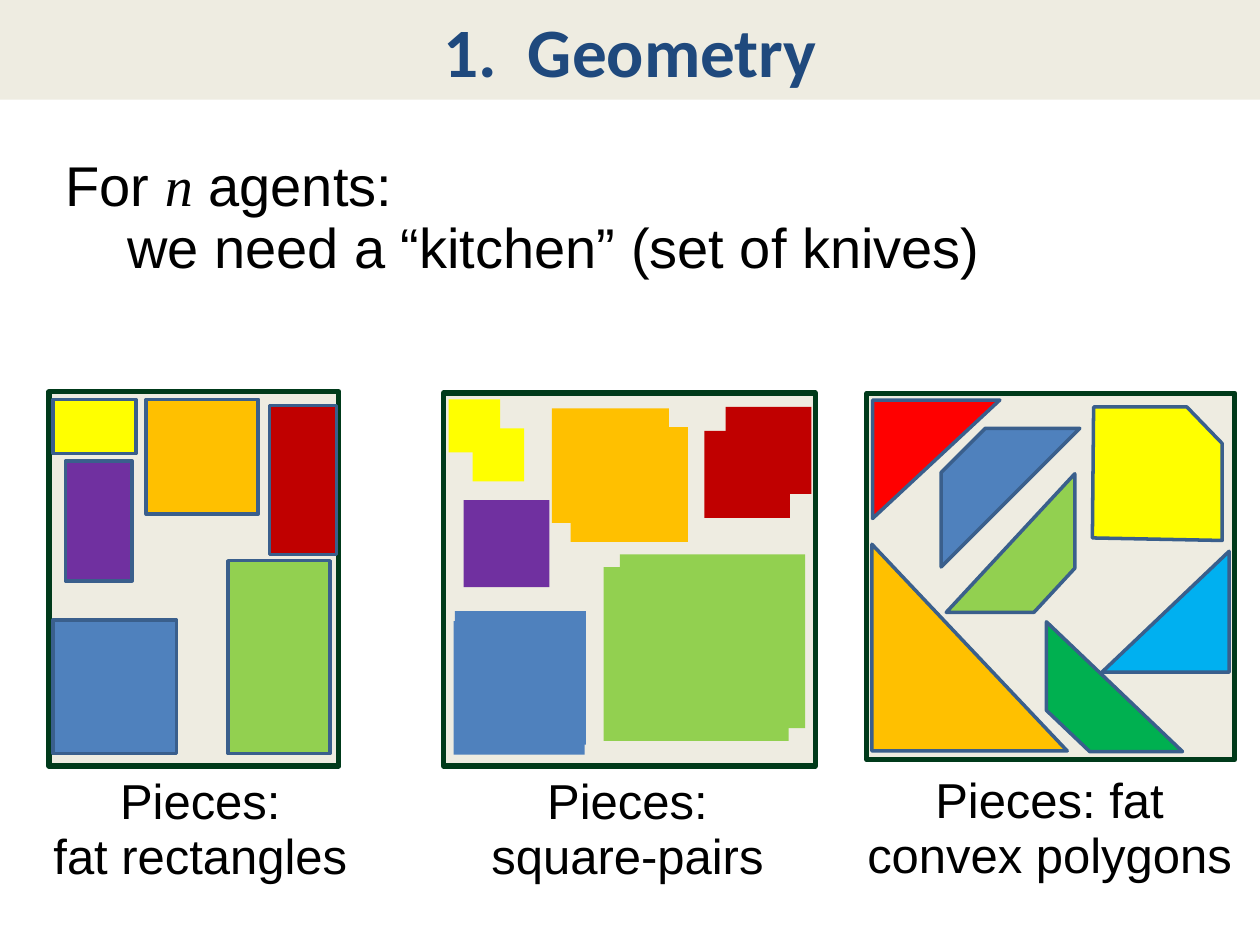
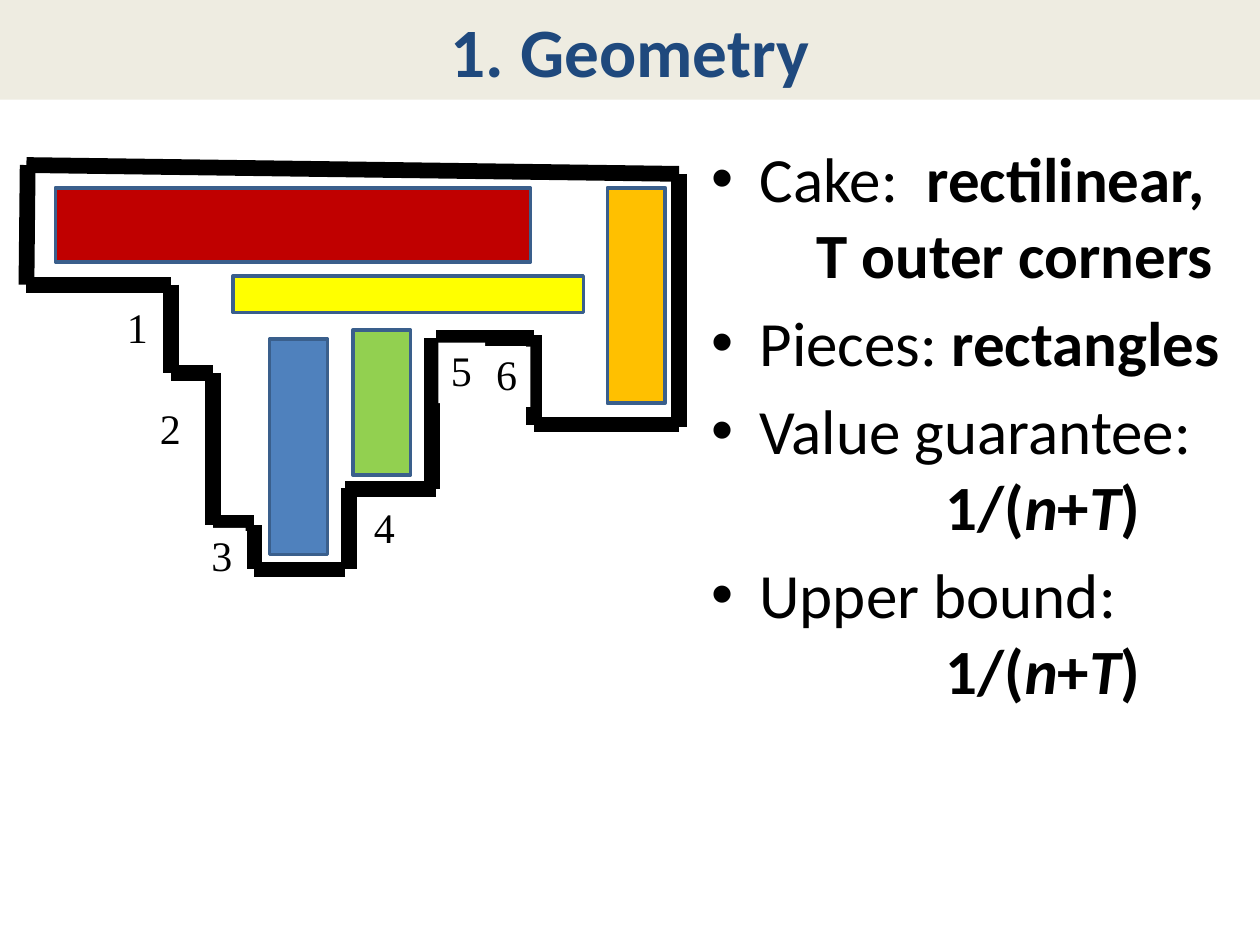
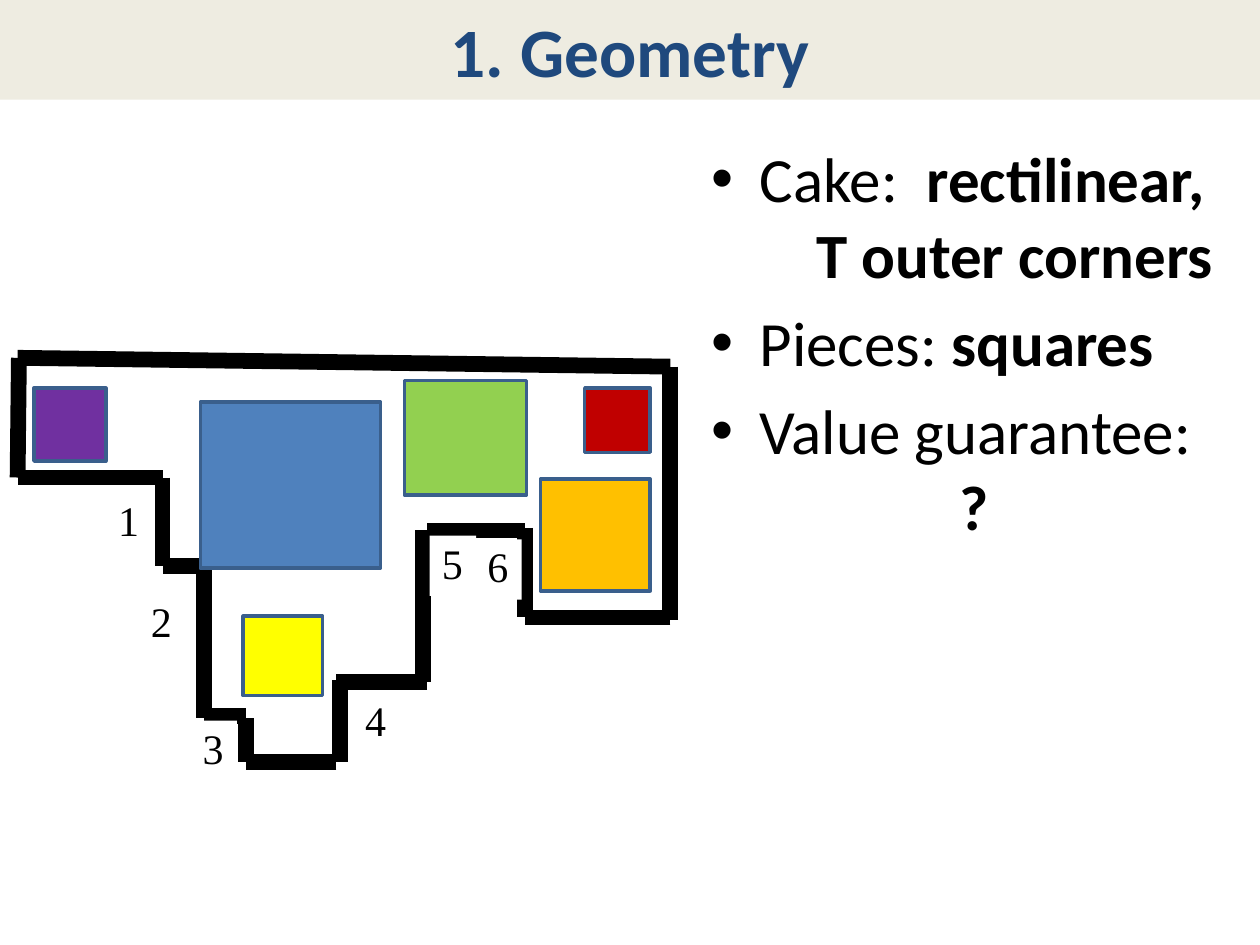
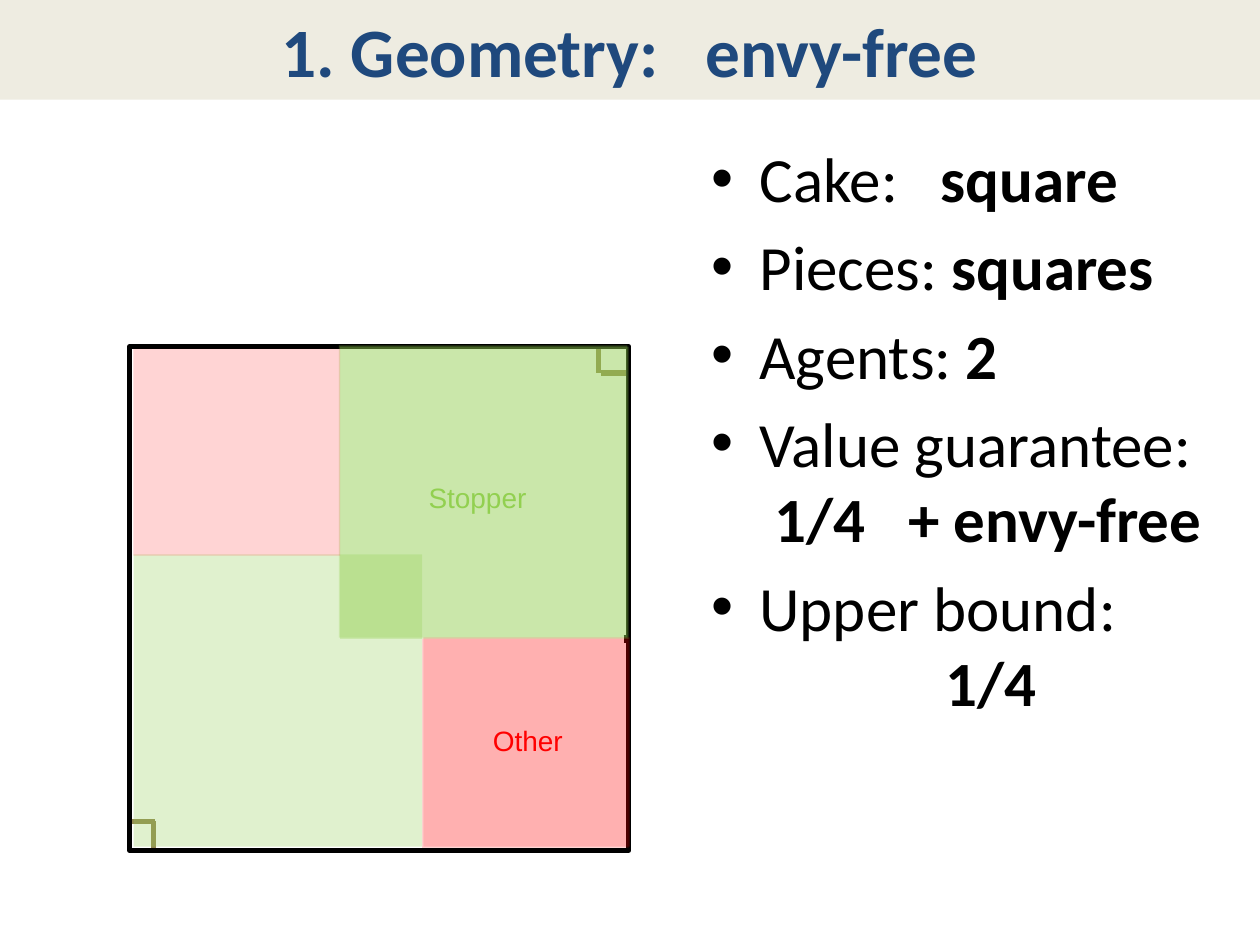
from lxml.etree import SubElement
from pptx import Presentation
from pptx.dml.color import RGBColor
from pptx.enum.shapes import MSO_CONNECTOR, MSO_SHAPE as Preset
from pptx.enum.text import MSO_ANCHOR as Anchor, MSO_AUTO_SIZE as AutoSize, PP_ALIGN as Align
from pptx.oxml.ns import qn
from pptx.util import Inches, Pt

# Colours
BLACK = RGBColor(0x00, 0x00, 0x00)
WHITE = RGBColor(0xFF, 0xFF, 0xFF)
CREAM = RGBColor(0xEE, 0xEC, 0xE1)
NAVY = RGBColor(0x1F, 0x49, 0x7D)
OUTLINE = RGBColor(0x3A, 0x5F, 0x8C)
FRAME = RGBColor(0x00, 0x3A, 0x1A)
OLIVE = RGBColor(0x94, 0x8A, 0x54)
YELLOW = RGBColor(0xFF, 0xFF, 0x00)
LIME = RGBColor(0x92, 0xD0, 0x50)
BLUE = RGBColor(0x4F, 0x81, 0xBD)
CRIMSON = RGBColor(0xC0, 0x00, 0x00)
ORANGE = RGBColor(0xFF, 0xC0, 0x00)
PURPLE = RGBColor(0x70, 0x30, 0xA0)
RED = RGBColor(0xFF, 0x00, 0x00)
GREEN = RGBColor(0x00, 0xB0, 0x50)
SKY = RGBColor(0x00, 0xB0, 0xF0)

# Fonts
HEADING = "Calibri"
SANS = "Arial"
SERIF = "Times New Roman"

# Rectilinear cake: walls as (x1, y1, x2, y2), corner numbers as (x, y)
CAKE_WALLS = [
    (0.22, 1.31, 0.21, 2.26), (2.74, 4.52, 2.02, 4.52), (1.36, 2.26, 1.36, 2.96),
    (1.36, 2.26, 0.21, 2.26), (1.69, 2.96, 1.36, 2.96), (1.69, 2.96, 1.69, 4.17),
    (2.02, 4.15, 1.69, 4.15), (2.02, 4.17, 2.02, 4.52), (3.46, 3.88, 2.74, 3.88),
    (2.77, 3.87, 2.77, 4.52), (5.39, 1.38, 5.39, 3.39), (5.39, 3.37, 4.24, 3.37),
    (3.43, 2.68, 3.43, 3.88), (4.24, 2.68, 3.46, 2.68), (4.24, 2.66, 4.24, 3.37),
    (0.21, 1.31, 5.39, 1.38),
]
CAKE_CORNERS = [(0.91, 2.38), (1.17, 3.18), (1.58, 4.19), (2.87, 3.97), (3.48, 2.72), (3.84, 2.75)]


def write(para, text, font=SANS, size=28, color=BLACK, bold=False, italic=False):
    span = para.add_run()
    span.text = text
    span.font.name = font
    span.font.size = Pt(size)
    span.font.color.rgb = color
    span.font.bold = bold
    span.font.italic = italic


class Slides:
    """Holds the deck, its style and the current page."""

    def __init__(self):
        self.deck = Presentation()
        self.deck.slide_width = Inches(10)
        self.deck.slide_height = Inches(7.5)
        self.page = None

    def new_page(self, title):
        self.page = self.deck.slides.add_slide(self.deck.slide_layouts[5])
        band = self.page.shapes.title
        band.left, band.top, band.width, band.height = map(Inches, (0, 0, 10, 0.79))
        band.fill.solid()
        band.fill.fore_color.rgb = CREAM
        frame = band.text_frame
        frame.vertical_anchor = Anchor.MIDDLE
        frame.auto_size = AutoSize.NONE
        frame.paragraphs[0].alignment = Align.CENTER
        write(frame.paragraphs[0], title, font=HEADING, size=39.6, color=NAVY, bold=True)

    def paint(self, shape, fill=None, line=OUTLINE, weight=2, alpha=None):
        shape.shadow.inherit = False
        if fill is None:
            shape.fill.background()
        else:
            shape.fill.solid()
            shape.fill.fore_color.rgb = fill
            if alpha:
                color = shape.fill._xPr.find(qn("a:solidFill"))[0]
                SubElement(color, qn("a:alpha"), val=str(alpha * 1000))
        if line is None:
            shape.line.fill.background()
        else:
            shape.line.color.rgb = line
            shape.line.width = Pt(weight)

    def shape(self, place, fill=None, preset=Preset.RECTANGLE, turn=0, adjust=None, **style):
        shape = self.page.shapes.add_shape(preset, *map(Inches, place))
        shape.rotation = turn
        if adjust is not None:
            shape.adjustments[0] = adjust
        self.paint(shape, fill, **style)

    def polygon(self, points, fill):
        corners = [(Inches(x), Inches(y)) for x, y in points]
        builder = self.page.shapes.build_freeform(*corners[0], scale=1.0)
        builder.add_line_segments(corners[1:], close=True)
        self.paint(builder.convert_to_shape(), fill)

    def line(self, ends, color=BLACK, weight=9):
        line = self.page.shapes.add_connector(MSO_CONNECTOR.STRAIGHT, *map(Inches, ends))
        line.line.color.rgb = color
        line.line.width = Pt(weight)
        SubElement(line._element.spPr, qn("a:effectLst"))

    def text(self, place, lines, align=Align.CENTER, wrap=True, fill=None, **style):
        """Each line is one text, or a list of (text, format) spans."""
        box = self.page.shapes.add_textbox(*map(Inches, place))
        if fill is not None:
            box.fill.solid()
            box.fill.fore_color.rgb = fill
        frame = box.text_frame
        frame.word_wrap = wrap
        frame.auto_size = AutoSize.SHAPE_TO_FIT_TEXT
        for index, line in enumerate(lines):
            para = frame.add_paragraph() if index else frame.paragraphs[0]
            para.alignment = align
            para.line_spacing = 0.93
            spans = [(line, {})] if isinstance(line, str) else line
            for text, extra in spans:
                write(para, text, **{**style, **extra})
        return frame

    def bullets(self, rows, height=4.69):
        """Each row is (indent, spans); no indent makes it a bullet. Marks: b bold, i italic."""
        box = self.page.shapes.add_textbox(*map(Inches, (5.55, 1.06, 4.26, height)))
        frame = box.text_frame
        frame.word_wrap = True
        for index, (indent, spans) in enumerate(rows):
            para = frame.add_paragraph() if index else frame.paragraphs[0]
            props = para._p.get_or_add_pPr()
            if indent is None:
                para.space_before = Pt(7.2)
                props.set("marL", str(Inches(0.38)))
                props.set("indent", str(-Inches(0.38)))
                SubElement(props, qn("a:buFont"), typeface=SANS)
                SubElement(props, qn("a:buChar"), char="•")
            else:
                para.space_before = Pt(0)
                props.set("marL", str(Inches(indent)))
            for text, marks in spans:
                write(para, text, font=HEADING, size=36, bold="b" in marks, italic="i" in marks)

    def cake(self, dx=0.0, dy=0.0):
        for x1, y1, x2, y2 in CAKE_WALLS:
            self.line((x1 + dx, y1 + dy, x2 + dx, y2 + dy))
        for number, (x, y) in enumerate(CAKE_CORNERS, 1):
            self.text((x + dx, y + dy, 0.37, 0.48), [str(number)], align=Align.LEFT,
                      wrap=False, fill=WHITE, font=SERIF, size=24)

    def pieces(self, items, **style):
        for fill, *place in items:
            self.shape(place, fill, **style)


def point(label, value=""):
    return None, [(label, ""), (value, "b")] if value else [(label, "")]


def kitchen_page(slides):
    slides.new_page("1.  Geometry")
    slides.text((0.42, 1.19, 7.52, 1.1),
                [[("For ", {}), ("n", {"font": SERIF, "italic": True}), (" agents:", {})],
                 "we need a “kitchen” (set of knives)"],
                align=Align.LEFT, wrap=False, size=32
                ).paragraphs[1]._p.get_or_add_pPr().set("marL", str(Inches(0.49)))

    # Square pairs
    slides.shape((3.52, 3.12, 2.95, 2.96), CREAM, line=FRAME, weight=3)
    slides.pieces([
        (YELLOW, 3.56, 3.17, 0.41, 0.42), (YELLOW, 3.75, 3.4, 0.41, 0.42),
        (LIME, 4.92, 4.4, 1.47, 1.38), (LIME, 4.79, 4.5, 1.47, 1.38),
        (BLUE, 3.61, 4.85, 1.04, 1.06), (BLUE, 3.6, 4.93, 1.04, 1.06),
        (CRIMSON, 5.76, 3.23, 0.68, 0.69), (CRIMSON, 5.59, 3.42, 0.68, 0.69),
        (ORANGE, 4.53, 3.39, 0.93, 0.91), (ORANGE, 4.38, 3.24, 0.93, 0.91),
        (PURPLE, 3.68, 3.97, 0.68, 0.69),
    ], line=None)
    slides.text((3.43, 6.11, 3.1, 0.98), ["Pieces:", "square-pairs"])

    # Fat rectangles
    slides.shape((0.39, 3.11, 2.3, 2.97), CREAM, line=FRAME, weight=3)
    slides.pieces([
        (YELLOW, 0.42, 3.17, 0.66, 0.43), (LIME, 1.81, 4.45, 0.81, 1.53),
        (BLUE, 0.42, 4.92, 0.98, 1.06), (CRIMSON, 2.14, 3.22, 0.53, 1.18),
        (ORANGE, 1.16, 3.17, 0.89, 0.91), (PURPLE, 0.52, 3.66, 0.53, 0.95),
    ])
    slides.text((0.04, 6.11, 3.1, 0.98), ["Pieces:", "fat rectangles"])

    # Fat convex polygons
    slides.shape((6.88, 3.12, 2.92, 2.91), CREAM, line=FRAME, weight=3)
    for fill, turn, *place in [(RED, 90, 6.96, 3.14, 0.94, 1.01),
                               (ORANGE, 0, 6.92, 4.32, 1.55, 1.64),
                               (SKY, 270, 8.77, 4.35, 0.96, 1.01)]:
        slides.shape(place, fill, Preset.RIGHT_TRIANGLE, turn)
    for fill, turn, *place in [(BLUE, 0, 7.47, 3.4, 1.1, 1.1),
                               (LIME, 180, 7.51, 3.76, 1.02, 1.1),
                               (GREEN, 270, 8.33, 4.91, 1.03, 1.08)]:
        slides.shape(place, fill, Preset.DIAGONAL_STRIPE, turn, adjust=0.318)
    slides.polygon([(9.42, 3.23), (9.7, 3.52), (9.7, 4.29), (8.67, 4.27), (8.68, 3.23)], YELLOW)
    slides.text((6.66, 6.1, 3.34, 0.98), ["Pieces: fat convex polygons"])


def rectangles_page(slides):
    slides.new_page("1. Geometry")
    share = (1.86, [("1/(", "b"), ("n", "bi"), ("+", "b"), ("T", "bi"), (")", "b")])
    slides.bullets([
        point("Cake:  ", "rectilinear,"), (0.83, [("T outer corners", "b")]),
        point("Pieces: ", "rectangles"),
        point("Value guarantee:"), share,
        point("Upper bound:"), share,
    ])
    slides.cake()
    slides.pieces([
        (CRIMSON, 0.44, 1.49, 3.77, 0.59), (ORANGE, 4.82, 1.49, 0.46, 1.71),
        (YELLOW, 1.85, 2.19, 2.78, 0.29), (BLUE, 2.14, 2.69, 0.46, 1.71),
        (LIME, 2.8, 2.62, 0.46, 1.15),
    ])


def squares_page(slides):
    slides.new_page("1. Geometry")
    slides.bullets([
        point("Cake:  ", "rectilinear,"), (0.83, [("T outer corners", "b")]),
        point("Pieces: ", "squares"),
        point("Value guarantee:"), (1.97, [("?", "b")]),
    ])
    slides.cake(dx=-0.07, dy=1.53)
    slides.pieces([
        (YELLOW, 1.93, 4.89, 0.63, 0.63), (LIME, 3.21, 3.02, 0.97, 0.91),
        (BLUE, 1.59, 3.19, 1.43, 1.32), (CRIMSON, 4.64, 3.08, 0.52, 0.51),
        (ORANGE, 4.29, 3.8, 0.87, 0.89), (PURPLE, 0.27, 3.08, 0.57, 0.58),
    ])


def envy_free_page(slides):
    slides.new_page("1. Geometry:   envy-free")

    # Square cake with its corner marks
    for ends in [(1.23, 6.52, 1.02, 6.52), (1.22, 6.52, 1.22, 6.73),
                 (4.99, 2.96, 4.77, 2.96), (4.75, 2.75, 4.75, 2.96)]:
        slides.line(ends, OLIVE, 3)
    slides.shape((1.03, 2.75, 3.96, 4), line=BLACK, weight=3)
    slides.line((4.95, 5.07, 5.01, 5.07), weight=4.5)

    # Overlapping shares of the two agents
    slides.pieces([(LIME, 2.69, 2.74, 2.29, 2.32), (LIME, 1.06, 4.4, 2.29, 2.32),
                   (LIME, 2.7, 2.75, 2.29, 2.32)], line=None, alpha=28)
    slides.text((3.19, 3.79, 1.2, 0.35), ["Stopper"], size=16, color=LIME)
    slides.pieces([(RED, 1.06, 2.77, 1.64, 1.64), (RED, 3.35, 5.07, 1.64, 1.66),
                   (RED, 3.36, 5.06, 1.64, 1.66)], line=None, alpha=17)
    slides.text((3.59, 5.72, 1.2, 0.35), ["Other"], size=16, color=RED)

    slides.bullets([
        point("Cake:   ", "square"), point("Pieces: ", "squares"), point("Agents: ", "2"),
        point("Value guarantee:"), (0.5, [("1/4   + envy-free", "b")]),
        point("Upper bound:"), (1.86, [("1/4", "b")]),
    ], height=5.53)


def main():
    slides = Slides()
    for build in (kitchen_page, rectangles_page, squares_page, envy_free_page):
        build(slides)
    slides.deck.save("out.pptx")


if __name__ == "__main__":
    main()
